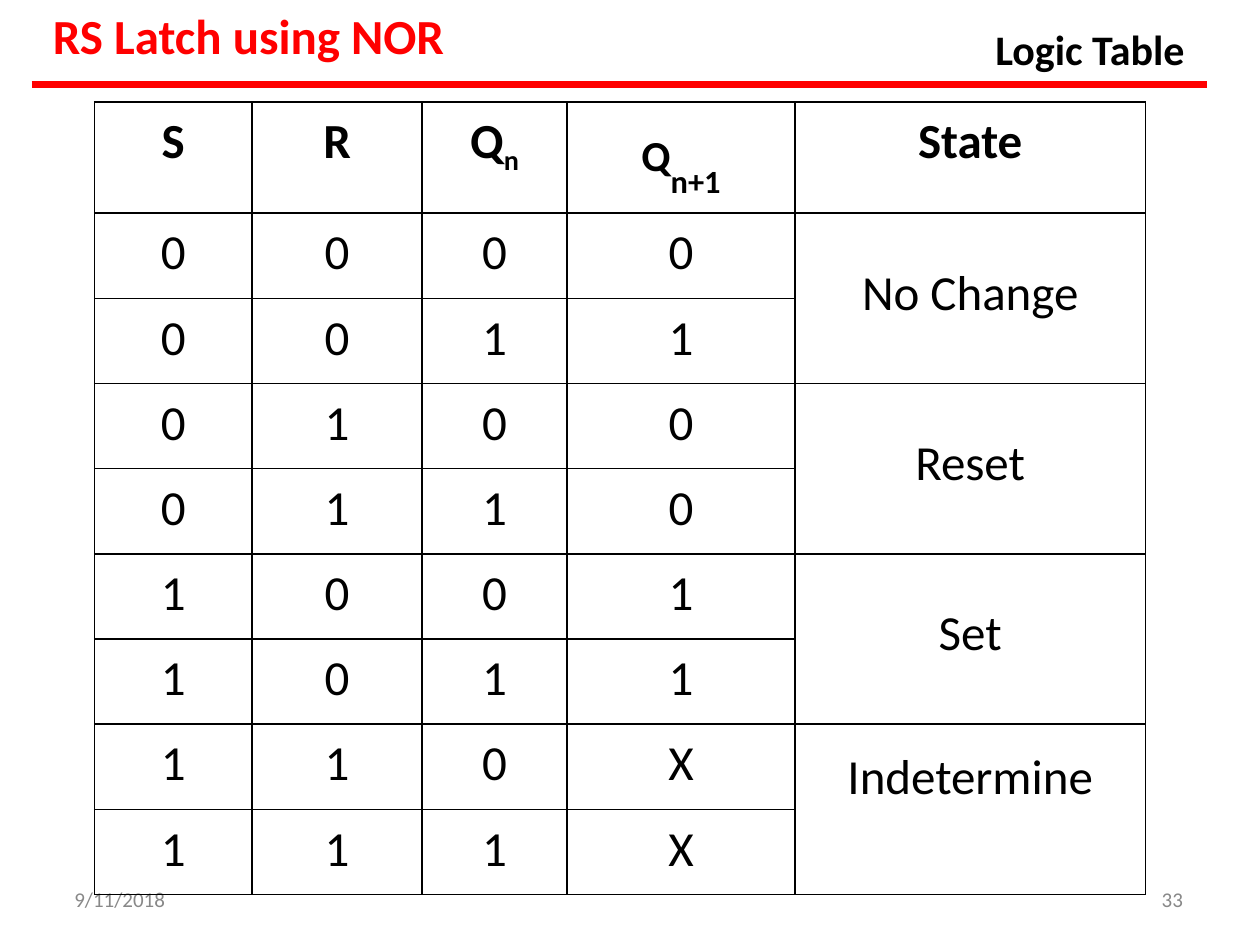
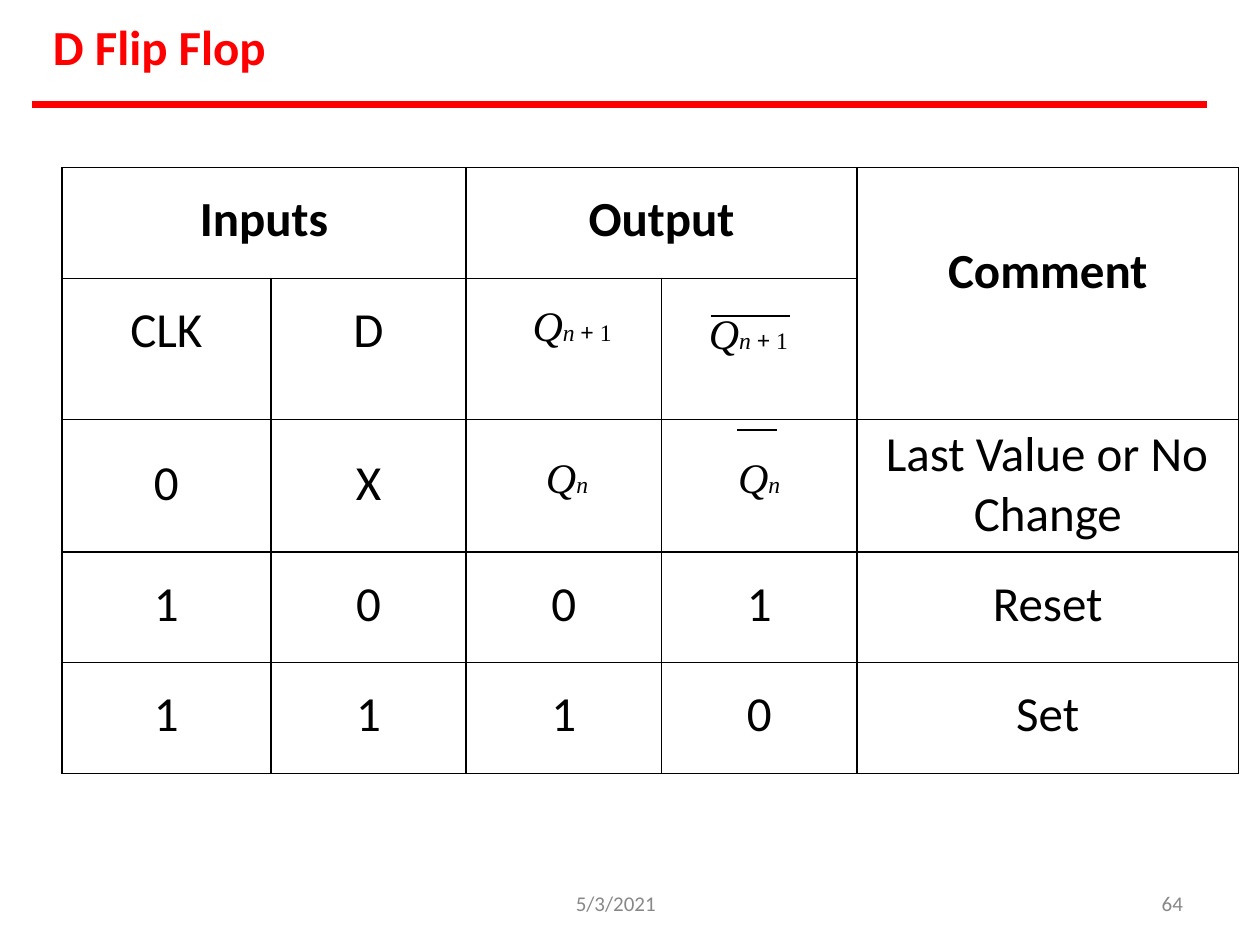
from lxml import etree
from pptx import Presentation
from pptx import util as u
from pptx.dml.color import RGBColor
from pptx.enum import shapes, text
from pptx.oxml import ns

RED, BLACK, GREY = "FF0000", "000000", "888888"
MATH = "Times New Roman"
COLS, ROWS = 100, 75  # grid of the slide


def hue(code):
    return RGBColor.from_string(code)


def put(obj, vals):
    for key, val in vals.items():
        setattr(obj, key, val)


class Deck:
    """Holds the style and the current slide."""

    base = {"name": "Calibri", "size": u.Pt(28), "bold": False, "italic": False}

    def __init__(self):
        self.prs = Presentation()
        self.prs.slide_width, self.prs.slide_height = u.Inches(10), u.Inches(7.5)

    def x(self, cols):
        return u.Emu(int(self.prs.slide_width * cols / COLS))

    def y(self, rows):
        return u.Emu(int(self.prs.slide_height * rows / ROWS))

    def box(self, left, top, wide, high):
        return self.x(left), self.y(top), self.x(wide), self.y(high)

    def ink(self, par, runs, color=BLACK, **look):
        """Fill a paragraph with a string or with (text, look) runs."""
        for words, own in [(runs, {})] if isinstance(runs, str) else runs:
            run = par.add_run()
            run.text = words
            vals = {**self.base, **look, **own}
            shift = vals.pop("shift", 0)
            put(run.font, vals)
            run.font.color.rgb = hue(color)
            if shift:
                run._r.get_or_add_rPr().set("baseline", str(shift * 1000))

    def frame(self, shape, words, **look):
        frame = shape.text_frame
        put(frame, {"margin_left": 0, "margin_right": 0, "margin_bottom": 0,
                    "margin_top": self.y(0.1), "word_wrap": False,
                    "auto_size": text.MSO_AUTO_SIZE.NONE,
                    "vertical_anchor": text.MSO_ANCHOR.TOP})
        par = frame.paragraphs[0]
        par.alignment = text.PP_ALIGN.LEFT
        self.ink(par, words, **look)

    def page(self, title, top, rule):
        """Start a slide with its red title and rule."""
        self.slide = self.prs.slides.add_slide(self.prs.slide_layouts[5])
        head = self.slide.shapes.title
        spot = self.box(4.2, top, 60, 5)
        put(head, dict(zip(("left", "top", "width", "height"), spot)))
        self.frame(head, title, color=RED, bold=True)
        self.line(2.5, 95.8, rule, RED, 4)

    def label(self, words, left, top, wide, high, **look):
        shape = self.slide.shapes.add_textbox(*self.box(left, top, wide, high))
        self.frame(shape, words, **look)

    def foot(self, date, left, num, top):
        for words, start in ((date, left), (num, 92.2)):
            self.label(words, start, top, 7.4, 2.3, size=u.Pt(12), color=GREY)

    def line(self, start, end, row, color, width):
        link = self.slide.shapes.add_connector(
            shapes.MSO_CONNECTOR.STRAIGHT,
            self.x(start), self.y(row), self.x(end), self.y(row))
        link.line.color.rgb = hue(color)
        link.line.width = u.Pt(width)
        etree.SubElement(link._element.spPr, ns.qn("a:effectLst"))

    def table(self, left, top, cols, rows):
        spot = self.box(left, top, sum(cols), sum(rows))
        grid = self.slide.shapes.add_table(len(rows), len(cols), *spot).table
        put(grid, {"first_row": False, "horz_banding": False})
        for col, wide in zip(grid.columns, cols):
            col.width = self.x(wide)
        for row, high in zip(grid.rows, rows):
            row.height = self.y(high)
        for cell in grid.iter_cells():
            cell.fill.background()
            self.edge(cell)
        self.grid = grid

    def edge(self, cell):
        props = cell._tc.get_or_add_tcPr()
        for spot, side in enumerate(("lnL", "lnR", "lnT", "lnB")):
            ln = etree.Element(ns.qn("a:" + side), w=str(u.Pt(1)))
            fill = etree.SubElement(ln, ns.qn("a:solidFill"))
            etree.SubElement(fill, ns.qn("a:srgbClr"), val=BLACK)
            props.insert(spot, ln)

    def cell(self, row, col, runs, top, span=(1, 1), left=0, right=0, hang=None, **look):
        """Fill a centred cell; hang gives a left margin and a first indent."""
        cell = self.grid.cell(row, col)
        if span != (1, 1):
            cell.merge(self.grid.cell(row + span[0] - 1, col + span[1] - 1))
        put(cell, {"margin_left": self.x(left), "margin_right": self.x(right),
                   "margin_top": self.y(top), "margin_bottom": 0,
                   "vertical_anchor": text.MSO_ANCHOR.TOP})
        par = cell.text_frame.paragraphs[0]
        par.alignment = text.PP_ALIGN.LEFT if hang else text.PP_ALIGN.CENTER
        if hang:
            for key, val in zip(("marL", "indent"), hang):
                par._p.get_or_add_pPr().set(key, str(self.x(val)))
        self.ink(par, runs, **look)


def latch(deck):
    deck.page("RS Latch using NOR", 0.3, 6.7)
    deck.foot("9/11/2018", 5.9, "33", 70.3)
    deck.table(7.5, 8.1, [12.5, 13.5, 11.5, 18.1, 27.8], [8.7] + [6.76] * 8)

    # Header
    now = [("Q", {}), ("n", {"size": u.Pt(27.8), "shift": -25})]
    after = [("Q", {"size": u.Pt(42), "shift": 30}), ("n+1", {"size": u.Pt(18.5)})]
    for col, head in enumerate(("S", "R", now, after, "State")):
        deck.cell(0, col, head, 1.7 if head is after else 0.8, bold=True)

    # Values, then one state for each pair of rows
    bits = "0000 0011 0100 0110 1001 1011 110X 111X".split()
    for row, vals in enumerate(bits, 1):
        for col, val in enumerate(vals):
            deck.cell(row, col, val, 0.8)
    states = (("No Change", 4), ("Reset", 4), ("Set", 4), ("Indetermine", 1.9))
    for pair, (state, top) in enumerate(states):
        deck.cell(1 + 2 * pair, 4, state, top, span=(2, 1))

    deck.label("Logic Table", 79, 1.8, 15.4, 4.3, size=u.Pt(24), bold=True)


def flip(deck):
    deck.page("D Flip Flop", 1.2, 8.3)
    deck.table(4.9, 13.3, [16.6, 15.5, 15.5, 15.5, 30.3], [8.8, 11.2, 10.5, 8.8, 8.8])

    # Header
    deck.cell(0, 0, "Inputs", 1.8, span=(1, 2), bold=True)
    deck.cell(0, 2, "Output", 1.8, span=(1, 2), bold=True)
    deck.cell(0, 4, "Comment", 5.9, span=(2, 1), bold=True)

    # Symbols
    big = {"name": MATH, "size": u.Pt(24), "italic": True}
    small = {**big, "size": u.Pt(13.5)}
    plain = {**small, "italic": False}
    now = [("Q", big), ("n", small)]
    after = [("Q", big), ("n ", small), ("+", {**plain, "name": "Noto Sans"}), (" 1", plain)]
    deck.cell(1, 2, after, 2, left=1.3)
    deck.cell(1, 3, after, 2.7, right=1.7)
    deck.cell(2, 2, now, 2.9, left=0.5)
    deck.cell(2, 3, now, 2.9)

    # Values
    for row, top, vals in ((1, 1.8, ("CLK", "D")), (2, 2.7, "0X"),
                           (3, 1.8, (*"1001", "Reset")), (4, 1.8, (*"1110", "Set"))):
        for col, val in enumerate(vals):
            deck.cell(row, col, val, top)
    deck.cell(2, 4, "Last Value or No Change", 0.4, hang=(9.3, -7))

    # Bars over the inverted outputs
    deck.line(56.4, 62.7, 25.1, BLACK, 1.15)
    deck.line(58.5, 61.7, 34.1, BLACK, 1.2)
    deck.foot("5/3/2021", 45.7, "64", 70.6)


def main():
    deck = Deck()
    latch(deck)
    flip(deck)
    deck.prs.save("out.pptx")


if __name__ == "__main__":
    main()
